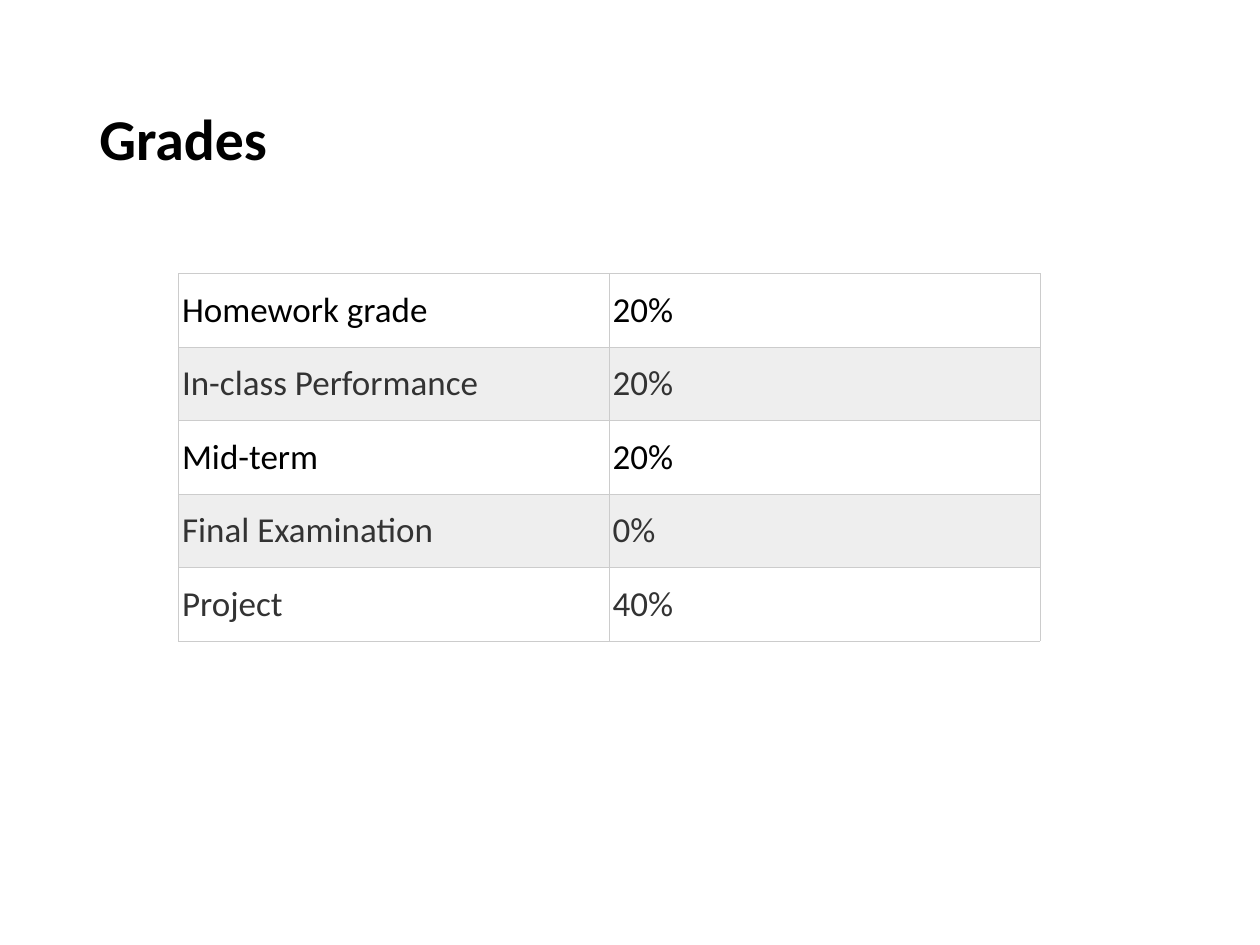
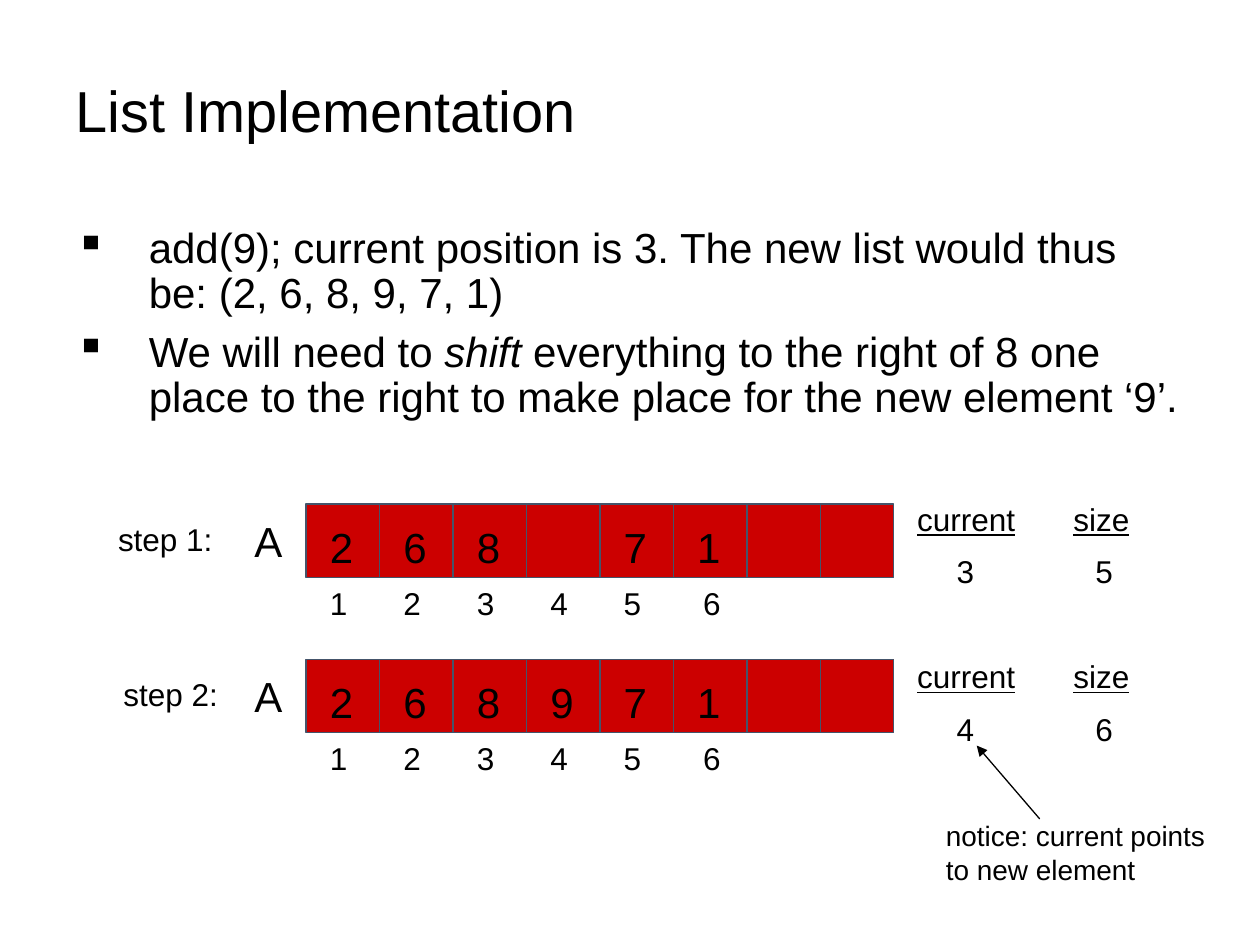
from lxml.etree import SubElement
from pptx import Presentation
from pptx.dml.color import RGBColor
from pptx.enum.shapes import MSO_CONNECTOR, MSO_SHAPE
from pptx.enum.text import MSO_ANCHOR, MSO_AUTO_SIZE, PP_ALIGN
from pptx.oxml.ns import qn
from pptx.util import Cm, Pt

COLORS = {
    "text": "000000",
    "muted": "333333",
    "white": "FFFFFF",
    "band": "EEEEEE",
    "grid": "CCCCCC",
    "array": "CC0000",
    "edge": "44546A",
}
GRADES = [
    ("Homework grade", "20%", "text"),
    ("In-class Performance", "20%", "muted"),
    ("Mid-term", "20%", "text"),
    ("Final Examination", "0%", "muted"),
    ("Project", "40%", "muted"),
]
BULLETS = [
    [("add(9); current position is 3. The new list would thus be: (2, 6, 8, 9, 7, 1)", False)],
    [
        ("We will need to ", False),
        ("shift", True),
        (" everything to the right of 8 one place to the right to make place for the new element ‘9’.", False),
    ],
]
SLOTS = 8


def rgb(name):
    """Look up a palette colour."""
    return RGBColor.from_string(COLORS[name])


def style(font, size, name="Arial", color="text"):
    """Apply size, typeface and colour to a font."""
    font.size, font.name = Pt(size), name
    font.color.rgb = rgb(color)


def title_slide(prs, title, box, name="Arial", bold=False):
    """Add a title-only slide with its title placed in box."""
    s = prs.slides.add_slide(prs.slide_layouts[5])
    sp = s.shapes.title
    sp.left, sp.top, sp.width, sp.height = map(Cm, box)
    tf = sp.text_frame
    tf.text = title
    tf.auto_size, tf.vertical_anchor = MSO_AUTO_SIZE.NONE, MSO_ANCHOR.MIDDLE
    p = tf.paragraphs[0]
    p.alignment, p.line_spacing = PP_ALIGN.LEFT, 0.9
    style(p.runs[0].font, 33, name)
    p.runs[0].font.bold = bold
    return s


def label(shapes, text, x, y, w, h=1.02, size=18, underline=False):
    """Add an unwrapped text label."""
    tf = shapes.add_textbox(Cm(x), Cm(y), Cm(w), Cm(h)).text_frame
    tf.text = text
    tf.word_wrap, tf.auto_size = False, MSO_AUTO_SIZE.SHAPE_TO_FIT_TEXT
    for p in tf.paragraphs:
        style(p.runs[0].font, size)
        p.runs[0].font.underline = underline


def line(shapes, x1, y1, x2, y2, color, arrow=False):
    """Add a straight line, with an arrowhead at its end if asked."""
    c = shapes.add_connector(MSO_CONNECTOR.STRAIGHT, Cm(x1), Cm(y1), Cm(x2), Cm(y2))
    c.line.width = Pt(0.75)
    c.line.color.rgb = rgb(color)
    if arrow:
        SubElement(c.line._get_or_add_ln(), qn("a:tailEnd"), type="triangle")
    SubElement(c._element.spPr, qn("a:effectLst"))


def border(cell):
    """Draw a thin grid line on all four sides of a cell."""
    tcPr = cell._tc.get_or_add_tcPr()
    for i, side in enumerate(("lnL", "lnR", "lnT", "lnB")):
        ln = tcPr.makeelement(qn(f"a:{side}"), {"w": str(Pt(0.28))})
        fill = SubElement(ln, qn("a:solidFill"))
        SubElement(fill, qn("a:srgbClr"), val=COLORS["grid"])
        tcPr.insert(i, ln)


def grade_table(s, x, y, w, h):
    """Add the table of grade weights."""
    tbl = s.shapes.add_table(len(GRADES), 2, Cm(x), Cm(y), Cm(w), Cm(h)).table
    tbl.first_row = tbl.horz_banding = False
    for i, (*texts, color) in enumerate(GRADES):
        for j, text in enumerate(texts):
            cell = tbl.cell(i, j)
            cell.text = text
            cell.vertical_anchor = MSO_ANCHOR.MIDDLE
            cell.margin_left = cell.margin_right = Cm(0.07)
            cell.fill.solid()
            cell.fill.fore_color.rgb = rgb("band" if i % 2 else "white")
            border(cell)
            style(cell.text_frame.paragraphs[0].runs[0].font, 20, "Calibri", color)


def bullet_list(s, x, y, w, h):
    """Add the square-bulleted explanation."""
    tf = s.shapes.add_textbox(Cm(x), Cm(y), Cm(w), Cm(h)).text_frame
    tf.word_wrap = True
    for i, parts in enumerate(BULLETS):
        p = tf.add_paragraph() if i else tf.paragraphs[0]
        pPr = p._p.get_or_add_pPr()
        pPr.set("marL", str(Cm(1.48)))
        pPr.set("indent", str(-Cm(1.48)))
        clr = SubElement(pPr, qn("a:buClr"))
        SubElement(clr, qn("a:srgbClr"), val=COLORS["text"])
        SubElement(pPr, qn("a:buChar"), char="▪")
        p.line_spacing = 0.9
        if i:
            p.space_before = Pt(7.5)
        for text, italic in parts:
            r = p.add_run()
            r.text = text
            style(r.font, 24)
            r.font.italic = italic


def array_step(s, x, y, w, h, step, values, current, size, step_x, status_y):
    """Draw one state of array A with its indices, current and size."""
    shapes = s.shapes.add_group_shape().shapes
    pitch = w / SLOTS
    sp = shapes.add_shape(MSO_SHAPE.RECTANGLE, Cm(x), Cm(y), Cm(w), Cm(h))
    sp.shadow.inherit = False
    sp.fill.solid()
    sp.fill.fore_color.rgb = rgb("array")
    sp.line.color.rgb = rgb("edge")
    sp.line.width = Pt(0.75)
    for i in range(1, SLOTS):
        line(shapes, x + i * pitch, y, x + i * pitch, y + h, "edge")
    for i, value in enumerate(values):
        left = x + 0.23 + i * pitch
        if value:
            label(shapes, value, left, y + 0.22, 0.97, 1.27, 24)
        nudge = 0.12 if i == len(values) - 1 else 0
        label(shapes, str(i + 1), left + nudge, y + h, 0.86)
    label(shapes, "A", x - 1.29, y + 0.1, 1.07, 1.27, 24)
    label(shapes, step, step_x, y + 0.19, 2.41)
    for name, value, left, width in (("current", current, 12.07, 2.49), ("size", size, 15.22, 1.78)):
        label(shapes, name, x + left, y + status_y, width, underline=True)
        label(shapes, value, x + left + (width - 0.9) / 2, y + status_y + 1.05, 0.86)


def pointer_note(s, x, y, w, h):
    """Add the remark and its arrow to the current value."""
    label(s.shapes, "notice: current points\nto new element", x, y, w, h, 16)
    line(s.shapes, x + 2.14, y + 0.13, x + 0.87, y - 1.35, "text", arrow=True)


def main():
    """Build both slides and save them."""
    prs = Presentation()
    prs.slide_width, prs.slide_height = Cm(25.4), Cm(19.05)
    s = title_slide(prs, "Grades", (1.75, 1.02, 21.92, 3.68), "Calibri", True)
    grade_table(s, 3.6, 5.51, 17.36, 7.41)
    s = title_slide(prs, "List Implementation", (1.27, 1.02, 22.86, 2.54))
    bullet_list(s, 1.27, 4.45, 22.86, 5.08)
    array_step(s, 6.17, 10.16, 11.85, 1.48, "step 1:", ["2", "6", "8", "", "7", "1"], "3", "5", 2.13, -0.21)
    array_step(s, 6.17, 13.29, 11.85, 1.48, "step 2:", ["2", "6", "8", "9", "7", "1"], "4", "6", 2.24, -0.16)
    pointer_note(s, 18.82, 16.38, 5.74, 1.63)
    prs.save("out.pptx")


if __name__ == "__main__":
    main()
